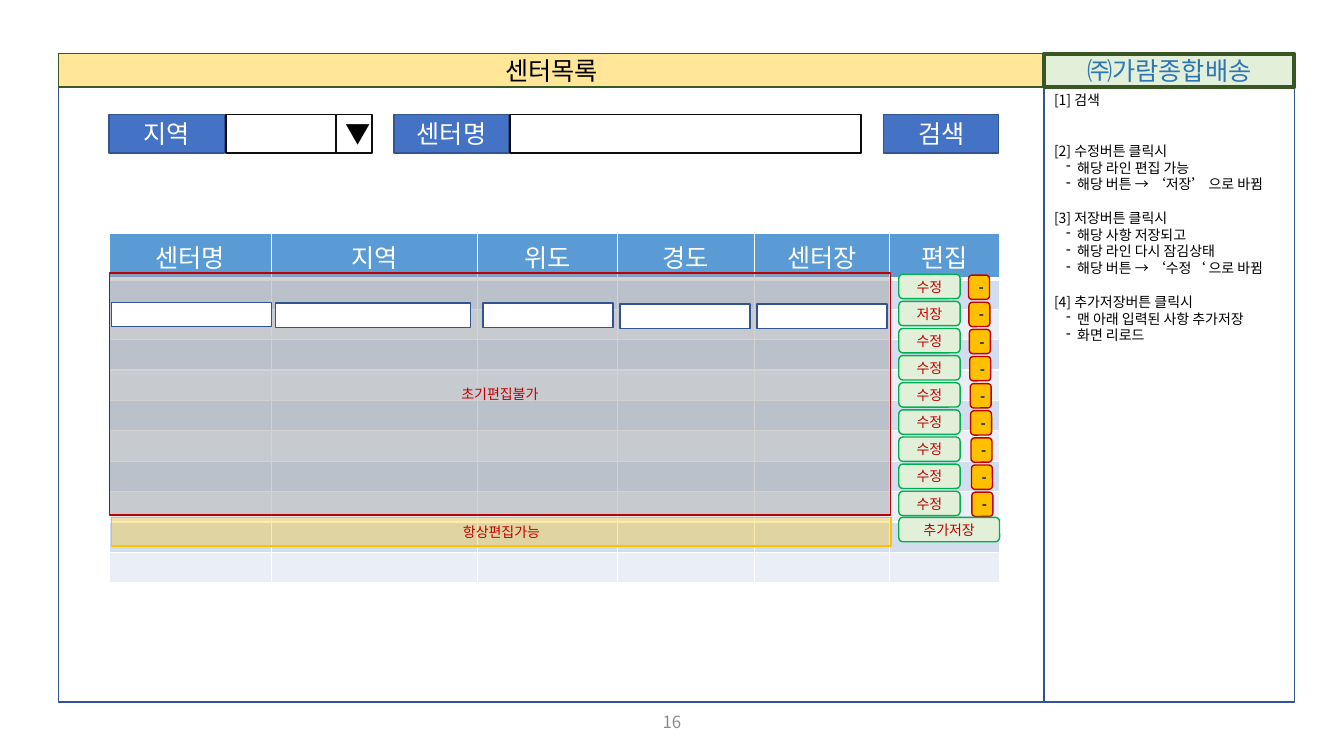
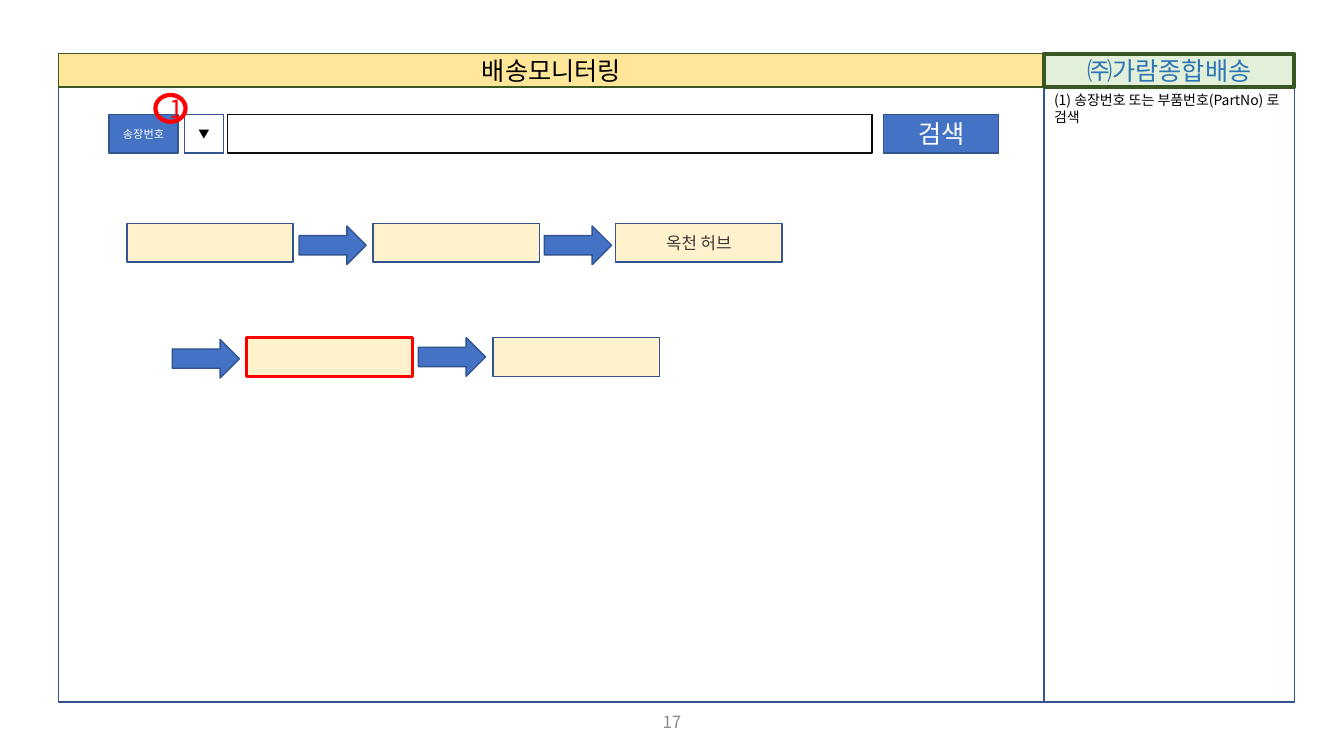
from dataclasses import dataclass
from typing import NamedTuple, Optional

from lxml.etree import SubElement
from pptx import Presentation
from pptx.dml.color import RGBColor
from pptx.enum.shapes import MSO_SHAPE
from pptx.enum.text import MSO_ANCHOR, PP_ALIGN
from pptx.oxml import parse_xml
from pptx.oxml.ns import nsdecls, qn
from pptx.util import Emu, Inches, Pt

FONT = "Noto Sans CJK KR"
UNIT = Inches(13.333) / 160  # the slide is a grid of 160 columns by 90 rows

BLACK = RGBColor(0, 0, 0)
WHITE = RGBColor(0xFF, 0xFF, 0xFF)
INK = RGBColor(0x0D, 0x0D, 0x0D)
GRAY = RGBColor(0x8C, 0x8C, 0x8C)
LOCK_GRAY = RGBColor(0xA6, 0xA6, 0xA6)
TEXT_GRAY = RGBColor(0x3B, 0x38, 0x38)
NAVY = RGBColor(0x00, 0x20, 0x60)
BLUE = RGBColor(0x44, 0x72, 0xC4)
BLUE_LINE = RGBColor(0x32, 0x54, 0x91)
BRAND_BLUE = RGBColor(0x2E, 0x75, 0xB6)
HEAD_BLUE = RGBColor(0x5B, 0x9B, 0xD5)
BANDS = (RGBColor(0xD2, 0xDE, 0xEF), RGBColor(0xEA, 0xEF, 0xF7))
TITLE_YELLOW = RGBColor(0xFF, 0xE6, 0x99)
CREAM = RGBColor(0xFF, 0xF2, 0xCC)
AMBER = RGBColor(0xFF, 0xC0, 0x00)
PALE_GREEN = RGBColor(0xE2, 0xF0, 0xD9)
GREEN = RGBColor(0x00, 0xB0, 0x50)
DARK_GREEN = RGBColor(0x38, 0x57, 0x23)
RED = RGBColor(0xFF, 0, 0)
DARK_RED = RGBColor(0xC0, 0, 0)


class Box(NamedTuple):
    """Left, top, width and height in grid units."""
    x: float
    y: float
    w: float
    h: float


@dataclass(frozen=True)
class Style:
    fill: Optional[RGBColor] = None
    line: RGBColor = BLUE_LINE
    weight: float = 1
    color: RGBColor = BLACK
    size: float = 18
    bold: bool = False
    alpha: int = 100
    shape: MSO_SHAPE = MSO_SHAPE.RECTANGLE


class Note(NamedTuple):
    text: str
    gap: int = 0
    bullet: bool = False


FRAME = Style()
TITLE = Style(TITLE_YELLOW, DARK_GREEN)
BRAND = Style(PALE_GREEN, DARK_GREEN, 3, BRAND_BLUE)
LABEL = Style(BLUE, color=WHITE)
SMALL_LABEL = Style(BLUE, color=WHITE, size=8)
FIELD = Style(line=INK)
DROP = Style(WHITE, size=8)
INPUT = Style(WHITE)
EDIT = Style(PALE_GREEN, GREEN, color=DARK_RED, size=10, shape=MSO_SHAPE.ROUNDED_RECTANGLE)
DELETE = Style(AMBER, DARK_RED, color=NAVY, size=10, bold=True,
               shape=MSO_SHAPE.ROUNDED_RECTANGLE)
OPEN_AREA = Style(AMBER, AMBER, color=DARK_RED, size=10, alpha=32)
LOCKED_AREA = Style(LOCK_GRAY, DARK_RED, color=DARK_RED, size=10, alpha=50)
MARK = Style(line=RED, weight=3, color=RED, shape=MSO_SHAPE.OVAL)
STEP = Style(CREAM, color=TEXT_GRAY, size=12)
CURRENT_STEP = Style(CREAM, RED, 2.25)
ARROW = Style(BLUE, shape=MSO_SHAPE.RIGHT_ARROW)

SEARCH_Y, SEARCH_H = 13.6, 4.6
LABEL_W = 13.7
LEFT = 13
HEADERS = {"센터명": 19.3, "지역": 24.5, "위도": 16.7, "경도": 16.3, "센터장": 16.1, "편집": 13.1}
HEAD_H, ROW_H, BODY_ROWS = 5.4, 3.62, 10
BUTTON_H, BUTTON_PITCH, BUTTON_Y = 2.9, 3.23, 32.65
STEP_W, ARROW_W = 19.8, 8

CENTER_NOTES = (
    Note("[1] 검색"),
    Note("[2] 수정버튼 클릭시", 24),
    Note("해당 라인 편집 가능", bullet=True),
    Note("해당 버튼 → ‘저장’ 으로 바뀜", bullet=True),
    Note("[3] 저장버튼 클릭시", 12),
    Note("해당 사항 저장되고", bullet=True),
    Note("해당 라인 다시 잠김상태", bullet=True),
    Note("해당 버튼 → ‘수정‘ 으로 바뀜", bullet=True),
    Note("[4] 추가저장버튼 클릭시", 12),
    Note("맨 아래 입력된 사항 추가저장", bullet=True),
    Note("화면 리로드", bullet=True),
)
TRACKING_NOTES = (Note("(1) 송장번호 또는 부품번호(PartNo) 로 검색"),)


def grid(n: float) -> Emu:
    return Emu(round(n * UNIT))


def place(box: Box) -> list[Emu]:
    return [grid(n) for n in box]


def set_font(p, size: float, color: RGBColor, bold: bool = False) -> None:
    """Set the paragraph font for both Latin and Korean text."""
    p.font.name, p.font.size, p.font.bold = FONT, Pt(size), bold
    p.font.color.rgb = color
    props = p._p.pPr.find(qn("a:defRPr"))
    SubElement(props, qn("a:ea")).set("typeface", FONT)


def add_box(s, box: Box, style: Style, text: str = ""):
    sp = s.shapes.add_shape(style.shape, *place(box))
    sp.shadow.inherit = False
    if style.fill is None:
        sp.fill.background()
    else:
        sp.fill.solid()
        sp.fill.fore_color.rgb = style.fill
        if style.alpha < 100:
            clr = sp._element.spPr.find(qn("a:solidFill")).find(qn("a:srgbClr"))
            SubElement(clr, qn("a:alpha")).set("val", str(style.alpha * 1000))
    sp.line.color.rgb, sp.line.width = style.line, Pt(style.weight)
    if text:
        tf = sp.text_frame
        tf.vertical_anchor = MSO_ANCHOR.MIDDLE
        p = tf.paragraphs[0]
        p.text, p.alignment = text, PP_ALIGN.CENTER
        set_font(p, style.size, style.color, style.bold)
    return sp


def add_notes(s, box: Box, notes: tuple[Note, ...]) -> None:
    tf = add_box(s, box, FRAME).text_frame
    tf.vertical_anchor = MSO_ANCHOR.TOP
    for i, note in enumerate(notes):
        p = tf.add_paragraph() if i else tf.paragraphs[0]
        p.text, p.alignment = note.text, PP_ALIGN.LEFT
        p.line_spacing, p.space_before = Pt(12), Pt(note.gap)
        if note.bullet:
            props = p._p.get_or_add_pPr()
            props.set("marL", str(Inches(0.23)))
            props.set("indent", str(-Inches(0.11)))
            SubElement(props, qn("a:buChar")).set("char", "-")
        set_font(p, 10, BLACK)


def add_page(prs, title: str, number: int, notes: tuple[Note, ...]):
    """Add a slide with the frame, title band, notes panel and page number."""
    s = prs.slides.add_slide(prs.slide_layouts[6])
    x, split, right = 7, 124.3, 154.1
    top, body, bottom = 6.4, 10.35, 83.6
    add_box(s, Box(x, body, split - x, bottom - body), FRAME)
    add_notes(s, Box(split, body, right - split, bottom - body), notes)
    add_box(s, Box(x, top, split - x, body - top), TITLE, title)
    add_box(s, Box(split, top, right - split, body - top), BRAND, "㈜가람종합배송")
    tf = s.shapes.add_textbox(*place(Box(62, 83.5, 36, 4.8))).text_frame
    tf.word_wrap, tf.vertical_anchor = True, MSO_ANCHOR.MIDDLE
    p = tf.paragraphs[0]
    p.text, p.alignment = str(number), PP_ALIGN.CENTER
    set_font(p, 12, GRAY)
    add_search(s, 105.2, LABEL_W, LABEL, "검색")
    return s


def add_search(s, x: float, w: float, style: Style, text: str = "") -> None:
    """Add one part of the search bar."""
    add_box(s, Box(x, SEARCH_Y, w, SEARCH_H), style, text)


def style_cell(cell, fill: RGBColor, bottom: float) -> None:
    cell.fill.solid()
    cell.fill.fore_color.rgb = fill
    props = cell._tc.get_or_add_tcPr()
    for i, (side, width) in enumerate((("L", 1), ("R", 1), ("T", 1), ("B", bottom))):
        props.insert(i, parse_xml(
            f'<a:ln{side} {nsdecls("a")} w="{Pt(width)}"><a:solidFill>'
            f'<a:srgbClr val="{WHITE}"/></a:solidFill></a:ln{side}>'))


def add_center_table(s) -> None:
    box = Box(LEFT, 27.8, sum(HEADERS.values()), HEAD_H + ROW_H * BODY_ROWS)
    table = s.shapes.add_table(BODY_ROWS + 1, len(HEADERS), *place(box)).table
    for i, row in enumerate(table.rows):
        row.height = grid(ROW_H if i else HEAD_H)
        for cell in row.cells:
            style_cell(cell, BANDS[(i - 1) % 2] if i else HEAD_BLUE, 1 if i else 3)
            if i:
                end = SubElement(cell.text_frame.paragraphs[0]._p, qn("a:endParaRPr"))
                end.set("sz", "1000")
    for i, (name, width) in enumerate(HEADERS.items()):
        table.columns[i].width = grid(width)
        p = table.cell(0, i).text_frame.paragraphs[0]
        p.text, p.alignment = name, PP_ALIGN.CENTER
        set_font(p, 18, WHITE)


def build_center_list(prs) -> None:
    s = add_page(prs, "센터목록", 16, CENTER_NOTES)
    add_search(s, 26.9, 17.4, FIELD)
    add_search(s, LEFT, LABEL_W, LABEL, "지역")
    add_search(s, 40, 4.2, FIELD, "▼")
    add_search(s, 46.9, LABEL_W, LABEL, "센터명")
    add_search(s, 60.7, 41.8, FIELD)
    add_center_table(s)

    for i in range(9):
        y = BUTTON_Y + BUTTON_PITCH * i
        add_box(s, Box(107, y, 7.3, BUTTON_H), EDIT, "저장" if i == 1 else "수정")
        add_box(s, Box(115.3 + 0.05 * i, y + 0.1, 2.5, BUTTON_H), DELETE, "-")
    add_box(s, Box(107, 61.6, 12, BUTTON_H), EDIT, "추가저장")

    add_box(s, Box(13.3, 61.6, 92.8, 3.4), OPEN_AREA, "항상편집가능")
    add_box(s, Box(LEFT, 32.5, 93, 28.8), LOCKED_AREA, "초기편집불가")
    for x, y, w in ((13.3, 36, 19), (32.8, 36.1, 23.2), (57.5, 36.1, 15.5),
                    (73.8, 36.2, 15.5), (90.1, 36.2, 15.5)):
        add_box(s, Box(x, y, w, BUTTON_H), INPUT)


def build_tracking(prs) -> None:
    s = add_page(prs, "배송모니터링", 17, TRACKING_NOTES)
    add_search(s, 27.1, 76.7, FIELD)
    add_search(s, LEFT, 8.2, SMALL_LABEL, "송장번호")
    add_search(s, 22, 4.6, DROP, "▼")
    add_box(s, Box(18.5, 11.3, 3.6, 3.2), MARK, "1")

    for x, y, style, text in ((15.1, 26.6, STEP, ""), (44.4, 26.6, STEP, ""),
                              (73.3, 26.6, STEP, "옥천 허브"),
                              (29.3, 40.2, CURRENT_STEP, ""), (58.7, 40.2, STEP, "")):
        add_box(s, Box(x, y, STEP_W, SEARCH_H), style, text)
    for x, y in ((35.6, 26.9), (64.8, 26.9), (20.5, 40.4), (49.8, 40.2)):
        add_box(s, Box(x, y, ARROW_W, SEARCH_H), ARROW)


def main() -> None:
    prs = Presentation()
    prs.slide_width, prs.slide_height = grid(160), grid(90)
    build_center_list(prs)
    build_tracking(prs)
    prs.save("out.pptx")


if __name__ == "__main__":
    main()
